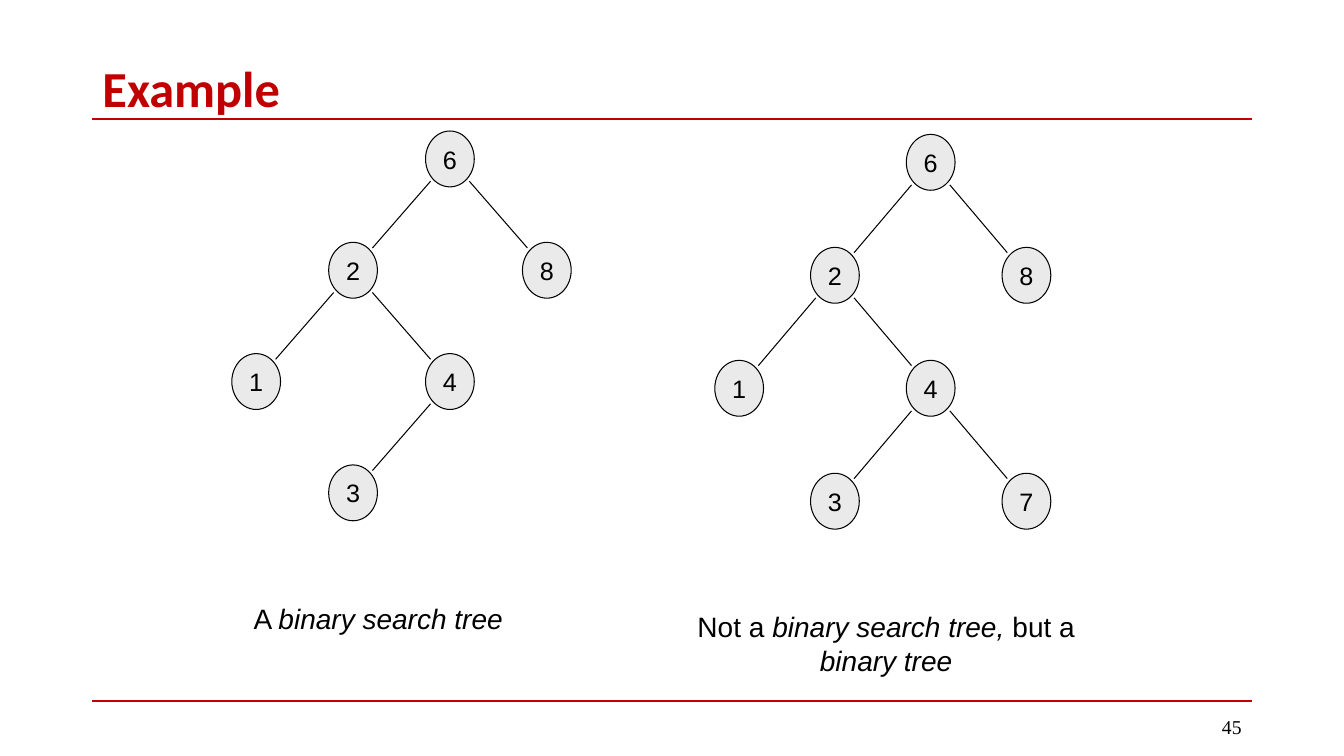
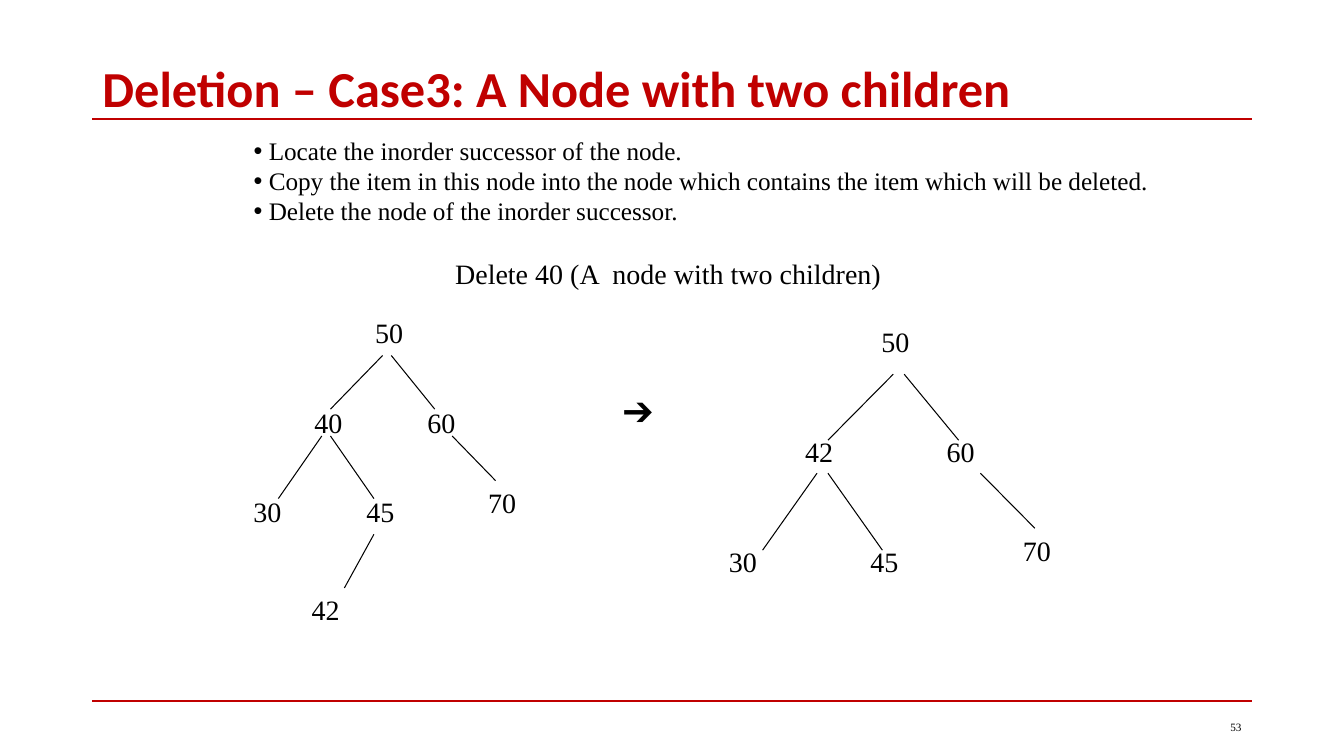
import dataclasses

import lxml.etree
import pptx
import pptx.dml.color
import pptx.enum.shapes
import pptx.enum.text
import pptx.oxml.ns
import pptx.util

GRID_COLUMNS, GRID_ROWS = 160, 90
CELL = pptx.util.Inches(1) // 12
ALIGN = pptx.enum.text.PP_ALIGN
ANCHOR = pptx.enum.text.MSO_ANCHOR


@dataclasses.dataclass(frozen=True)
class Theme:
    """Colours and type styles shared by the slides."""
    accent: str = "C00000"
    ink: str = "000000"
    node_fill: str = "EAEAEA"
    rule_width: float = 1.5
    edge_width: float = 0.75
    title: tuple = ("Calibri", 36, "C00000", True)
    node: tuple = ("Arial", 18, "000000", False)
    caption: tuple = ("Arial", 20, "000000", False)
    bullet: tuple = ("Times New Roman", 18, "000000", False)
    label: tuple = ("Times New Roman", 20, "000000", False)
    arrow: tuple = ("Times New Roman", 24, "000000", False)
    page: tuple = ("Times New Roman", 14, "000000", False)
    small_page: tuple = ("Times New Roman", 8, "000000", False)


THEME = Theme()
TITLE_BOX = (11, 7.3, 138, 7)
PAGE_BOX = (113, 84.1, 36, 4.8)
RULE_ROWS = (14.2, 83.4)
NODE_SIZE = (5.8, 6.65)
LABEL_SIZE = (5.8, 5.2)

SEARCH_NODES = {"6": (0, 0), "2": (-1, 1), "8": (1, 1), "1": (-2, 2), "4": (0, 2), "3": (-1, 3)}
SEARCH_EDGES = ["62", "68", "21", "24", "43"]

LABEL_COLUMNS, LABEL_ROWS = 29, 31
KEPT_LABELS = {"50": (14, 0), "60": (20, 10), "70": (27, 19), "45": (13, 20), "30": (0, 20)}
DELETED_CELL, SUCCESSOR_CELL = (7, 10), (6.7, 31)
KEPT_EDGES = [
    ((16, 5), (10, 11)),
    ((17, 5), (22, 11)),
    ((24, 14), (29, 19)),
    ((10, 14), (15, 21)),
    ((9, 14), (4, 21)),
]
SUCCESSOR_EDGE = ((15, 25), (11.6, 31))


def cells(*values):
    """Turn grid cells into slide lengths."""
    return [round(value * CELL) for value in values]


def colour(value):
    """Make an RGB colour from its hex digits."""
    return pptx.dml.color.RGBColor.from_string(value)


def apply_formats(target, formats):
    """Set each named attribute of an object."""
    for name, value in formats.items():
        setattr(target, name, value)


def write_paragraph(paragraph, runs, style, align=ALIGN.LEFT):
    """Write (text, italic) runs in one type style."""
    paragraph.alignment = align
    name, size, ink, bold = style
    for text, italic in runs:
        run = paragraph.add_run()
        run.text = text
        apply_formats(run.font, {"name": name, "size": pptx.util.Pt(size), "bold": bold, "italic": italic})
        run.font.color.rgb = colour(ink)


def set_frame(frame, wrap=False, anchor=ANCHOR.TOP):
    """Set how a text frame wraps and anchors its text."""
    apply_formats(frame, {
        "word_wrap": wrap,
        "vertical_anchor": anchor,
        "auto_size": pptx.enum.text.MSO_AUTO_SIZE.NONE,
    })


def place(shape, box):
    """Move a shape to a box of the grid."""
    apply_formats(shape, dict(zip(("left", "top", "width", "height"), cells(*box))))


def add_text(slide, box, runs, style, align=ALIGN.LEFT, **frame_format):
    """Add a text box with a single paragraph."""
    shape = slide.shapes.add_textbox(*cells(*box))
    set_frame(shape.text_frame, **frame_format)
    write_paragraph(shape.text_frame.paragraphs[0], runs, style, align)


def add_line(slide, start, end, ink, width):
    """Add a straight line between two grid points."""
    connector = slide.shapes.add_connector(
        pptx.enum.shapes.MSO_CONNECTOR.STRAIGHT, *cells(*start, *end))
    connector.line.color.rgb = colour(ink)
    connector.line.width = pptx.util.Pt(width)
    properties = connector.element.find(pptx.oxml.ns.qn("p:spPr"))
    lxml.etree.SubElement(properties, pptx.oxml.ns.qn("a:effectLst"))
    return connector


def add_master_rules(presentation, slide):
    """Put the two red rules on the slide master."""
    left, _, width, _ = TITLE_BOX
    for identifier, row in enumerate(RULE_ROWS, 101):
        rule = add_line(slide, (left, row), (left + width, row), THEME.accent, THEME.rule_width)
        rule.element.xpath(".//p:cNvPr")[0].set("id", str(identifier))
        presentation.slide_master.shapes.element.append(rule.element)


def add_slide(presentation, layout_name, title, page, page_style):
    """Add a slide with its title and page number."""
    slide = presentation.slides.add_slide(presentation.slide_layouts.get_by_name(layout_name))
    place(slide.shapes.title, TITLE_BOX)
    frame = slide.shapes.title.text_frame
    set_frame(frame, wrap=True, anchor=ANCHOR.MIDDLE)
    frame.paragraphs[0].line_spacing = 0.9
    write_paragraph(frame.paragraphs[0], [(title, False)], THEME.title)
    add_text(slide, PAGE_BOX, [(page, False)], page_style, ALIGN.RIGHT, wrap=True, anchor=ANCHOR.MIDDLE)
    return slide


def add_node(slide, center, key):
    """Add an oval node around its center."""
    width, height = NODE_SIZE
    oval = slide.shapes.add_shape(
        pptx.enum.shapes.MSO_SHAPE.OVAL,
        *cells(center[0] - width / 2, center[1] - height / 2, width, height))
    oval.shadow.inherit = False
    oval.fill.solid()
    oval.fill.fore_color.rgb = colour(THEME.node_fill)
    oval.line.color.rgb = colour(THEME.ink)
    oval.line.width = pptx.util.Pt(THEME.edge_width)
    set_frame(oval.text_frame, anchor=ANCHOR.MIDDLE)
    write_paragraph(oval.text_frame.paragraphs[0], [(key, False)], THEME.node, ALIGN.CENTER)


def add_search_tree(slide, box, nodes, edges):
    """Draw a tree of ovals that fills a box."""
    left, top, width, height = box
    step_x, step_y = (width - NODE_SIZE[0]) / 3, (height - NODE_SIZE[1]) / 3
    root_x, root_y = left + NODE_SIZE[0] / 2 + 2 * step_x, top + NODE_SIZE[1] / 2
    centers = {key: (root_x + column * step_x, root_y + row * step_y)
               for key, (column, row) in nodes.items()}
    for key, center in centers.items():
        add_node(slide, center, key)
    for parent, child in edges:
        start, end = [
            [a + share * (b - a) for a, b in zip(centers[parent], centers[child])]
            for share in (0.2, 0.8)]
        add_line(slide, start, end, THEME.ink, THEME.edge_width)


def add_label_tree(slide, box, labels, edges):
    """Draw a tree of plain labels scaled to a box."""
    left, top, width, height = box

    def locate(cell):
        """Find a tree cell on the slide grid."""
        return left + cell[0] * width / LABEL_COLUMNS, top + cell[1] * height / LABEL_ROWS

    for start, end in edges:
        add_line(slide, locate(start), locate(end), THEME.ink, THEME.edge_width)
    for key, cell in labels.items():
        add_text(slide, (*locate(cell), *LABEL_SIZE), [(key, False)], THEME.label)


def add_bullets(slide, box, items):
    """Fill the body placeholder with a bulleted list."""
    body = slide.placeholders[1]
    place(body, box)
    frame = body.text_frame
    set_frame(frame, wrap=True)
    indent = pptx.util.Inches(0.15)
    for index, item in enumerate(items):
        paragraph = frame.add_paragraph() if index else frame.paragraphs[0]
        paragraph.space_before = pptx.util.Pt(0)
        write_paragraph(paragraph, [(item, False)], THEME.bullet)
        properties = paragraph._p.get_or_add_pPr()
        properties.set("marL", str(indent))
        properties.set("indent", str(-indent))


def build_example(presentation):
    """Build the slide comparing two binary trees."""
    slide = add_slide(presentation, "Title Only", "Example", "45", THEME.page)
    add_search_tree(slide, (27.6, 15.6, 40.4, 46.4), SEARCH_NODES, SEARCH_EDGES)
    add_search_tree(slide, (85.1, 16, 40, 47), {**SEARCH_NODES, "7": (1, 3)}, [*SEARCH_EDGES, "47"])
    add_text(slide, (29, 71, 32.3, 5.3), [("A ", False), ("binary search tree", True)], THEME.caption)
    add_text(slide, (78, 72, 55, 9.4), [
        ("Not a ", False), ("binary search tree, ", True), ("but a ", False), ("binary tree", True),
    ], THEME.caption, ALIGN.CENTER, wrap=True)
    return slide


def build_deletion(presentation):
    """Build the slide on deleting a node with two children."""
    slide = add_slide(presentation, "Title and Content",
                      "Deletion – Case3: A Node with two children", "53", THEME.small_page)
    add_bullets(slide, (29, 15.5, 110, 12.1), [
        "Locate the inorder successor of the node.",
        "Copy the item in this node into the node which contains the item which will be deleted.",
        "Delete the node of the inorder successor.",
    ])
    add_text(slide, (53, 30, 53.2, 5.2), [("Delete 40 (A  node with two children)", False)], THEME.label)
    add_label_tree(slide, (29, 37, 30, 33),
                   {**KEPT_LABELS, "40": DELETED_CELL, "42": SUCCESSOR_CELL},
                   [*KEPT_EDGES, SUCCESSOR_EDGE])
    add_text(slide, (73, 46, 6.7, 6), [("➔", False)], THEME.arrow)
    add_label_tree(slide, (85.6, 38, 37.6, 40.6), {**KEPT_LABELS, "42": DELETED_CELL}, KEPT_EDGES)


def main():
    """Build and save the presentation."""
    presentation = pptx.Presentation()
    presentation.slide_width, presentation.slide_height = cells(GRID_COLUMNS, GRID_ROWS)
    example = build_example(presentation)
    add_master_rules(presentation, example)
    build_deletion(presentation)
    presentation.save("out.pptx")


if __name__ == "__main__":
    main()
